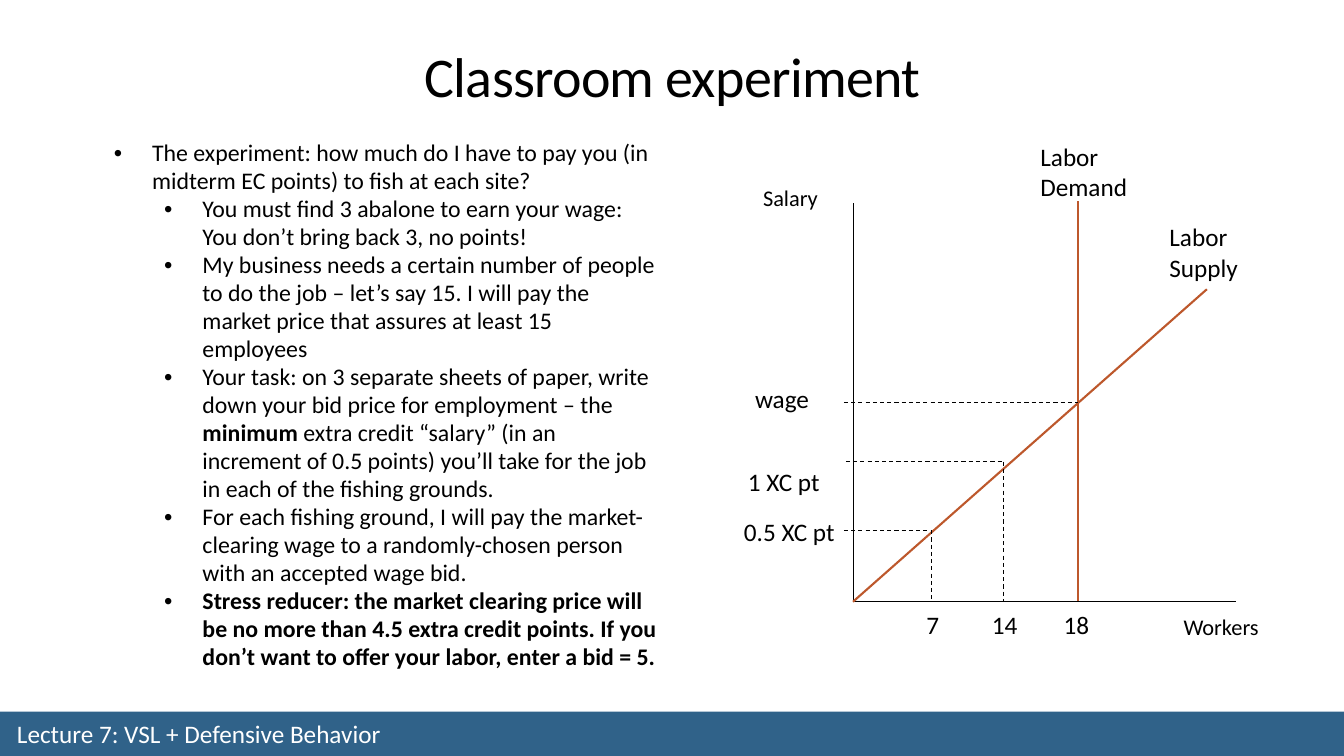
"""Build the classroom experiment slide with its labor market diagram."""
from dataclasses import dataclass

from pptx import Presentation
from pptx.dml.color import RGBColor
from pptx.enum.dml import MSO_LINE
from pptx.enum.shapes import MSO_CONNECTOR, MSO_SHAPE
from pptx.enum.text import MSO_ANCHOR, MSO_AUTO_SIZE, PP_ALIGN
from pptx.oxml.ns import qn
from pptx.util import Pt

STRAIGHT = MSO_CONNECTOR.STRAIGHT
RECTANGLE = MSO_SHAPE.RECTANGLE
DASH = MSO_LINE.DASH
TOP, MIDDLE, BOTTOM = MSO_ANCHOR.TOP, MSO_ANCHOR.MIDDLE, MSO_ANCHOR.BOTTOM
CENTER = PP_ALIGN.CENTER
FIXED = MSO_AUTO_SIZE.NONE

PX = 9144
WIDTH, HEIGHT = 1333, 750


@dataclass(frozen=True)
class Theme:
    font: str = "Calibri"
    black: str = "000000"
    white: str = "FFFFFF"
    curve: str = "BD582C"
    band: str = "306289"
    title: int = 40
    label: int = 18
    axis_label: int = 16
    body: int = 17


THEME = Theme()

TITLE = "Classroom experiment"
FOOTER = "Lecture 7: VSL + Defensive Behavior"
BULLETS = [
    (1, [("The experiment: how much do I have to pay you (in midterm EC points) to fish at each site?", False)]),
    (2, [("You must find 3 abalone to earn your wage: You don’t bring back 3, no points!", False)]),
    (2, [("My business needs a certain number of people to do the job – let’s say 15. "
          "I will pay the market price that assures at least 15 employees", False)]),
    (2, [("Your task: on 3 separate sheets of paper, write down your bid price for employment – the ", False),
         ("minimum", True),
         (" extra credit “salary” (in an increment of 0.5 points) you’ll take for the job "
          "in each of the fishing grounds.", False)]),
    (2, [("For each fishing ground, I will pay the market-clearing wage to a randomly-chosen person "
          "with an accepted wage bid.", False)]),
    (2, [("Stress reducer: the market clearing price will be no more than 4.5 extra credit points. "
          "If you don’t want to offer your labor, enter a bid = 5.", True)]),
]
LABELS = [
    ("wage", 739, 375, 90, 40, THEME.label),
    ("1 XC pt", 732, 458, 104, 40, THEME.label),
    ("0.5 XC pt", 728, 507, 112, 40, THEME.label),
    ("7", 909, 600, 44, 40, THEME.label),
    ("14", 974, 600, 48, 40, THEME.label),
    ("18", 1045, 600, 48, 40, THEME.label),
    ("Workers", 1164, 603, 123, 37, THEME.axis_label),
    ("Salary", 747, 178, 123, 37, THEME.axis_label),
    ("Labor Demand", 1022, 135, 128, 71, THEME.label),
    ("Labor Supply", 1150, 215, 128, 71, THEME.label),
]
ORIGIN_X, ORIGIN_Y = 846, 597
AXIS_TOP, AXIS_RIGHT = 201, 1226
DEMAND_X, DEMAND_TOP, WAGE_Y = 1069, 199, 399
SUPPLY_END = (1197, 287)
BIDS = [(995, 458, 839), (924, 526, 837)]
WAGE_LEFT = 837


def apply(target, values):
    """Set each named attribute on the target."""
    for name, value in values.items():
        setattr(target, name, value)


def place(shape, left, top, width, height):
    """Move and size a shape given in px."""
    apply(shape, {"left": left * PX, "top": top * PX, "width": width * PX, "height": height * PX})


def add_span(para, text, size, color=THEME.black, bold=False):
    """Append formatted text to a paragraph."""
    span = para.add_run()
    span.text = text
    apply(span.font, {"name": THEME.font, "size": Pt(size), "bold": bold})
    span.font.color.rgb = RGBColor.from_string(color)
    return span


def add_box(page, left, top, width, height, anchor=TOP):
    """Add a wrapping text box and return its frame."""
    box = page.shapes.add_textbox(left * PX, top * PX, width * PX, height * PX)
    apply(box.text_frame, {"word_wrap": True, "vertical_anchor": anchor})
    return box.text_frame


def add_line(page, start, end, color, weight, dash=None):
    """Draw a straight line between two px points."""
    ends = [value * PX for value in (*start, *end)]
    line = page.shapes.add_connector(STRAIGHT, *ends)
    line.line.color.rgb = RGBColor.from_string(color)
    apply(line.line, {"width": Pt(weight), "dash_style": dash})
    properties = line._element.spPr
    properties.append(properties.makeelement(qn("a:effectLst"), {}))


def add_title(page):
    """Format the title placeholder."""
    title = page.shapes.title
    place(title, 272, -18, 790, 131)
    apply(title.text_frame, {"auto_size": FIXED, "vertical_anchor": BOTTOM, "word_wrap": True})
    para = title.text_frame.paragraphs[0]
    apply(para, {"alignment": CENTER, "line_spacing": 0.85})
    span = add_span(para, TITLE, THEME.title)
    span.font._element.set("spc", "-50")


def add_footer(page):
    """Draw the footer band and its text."""
    band = page.shapes.add_shape(RECTANGLE, 0, 0, 0, 0)
    place(band, 0, 706, WIDTH, 46)
    band.shadow.inherit = False
    band.fill.solid()
    band.fill.fore_color.rgb = RGBColor.from_string(THEME.band)
    band.line.fill.background()
    frame = add_box(page, 7, 712, 491, 32, MIDDLE)
    add_span(frame.paragraphs[0], FOOTER, THEME.label, THEME.white)


def add_bullets(page):
    """Write the two-level bullet list."""
    frame = add_box(page, 53, 133, 612, 525)
    for index, (level, spans) in enumerate(BULLETS):
        para = frame.add_paragraph() if index else frame.paragraphs[0]
        apply(para, {"level": level, "line_spacing": 0.98})
        properties = para._p.get_or_add_pPr()
        properties.set("marL", str((38 + 50 * level) * PX))
        properties.set("indent", str(-38 * PX))
        for tag, values in (("a:buFont", {"typeface": "Arial"}), ("a:buChar", {"char": "•"})):
            properties.append(properties.makeelement(qn(tag), values))
        for text, bold in spans:
            add_span(para, text, THEME.body, bold=bold)


def add_diagram(page):
    """Draw axes, curves, guides and labels."""
    origin = (ORIGIN_X, ORIGIN_Y)
    for end in ((ORIGIN_X, AXIS_TOP), (AXIS_RIGHT, ORIGIN_Y)):
        add_line(page, origin, end, THEME.black, 0.5)
    add_line(page, origin, SUPPLY_END, THEME.curve, 1.5)
    add_line(page, (DEMAND_X, ORIGIN_Y - 1), (DEMAND_X, DEMAND_TOP), THEME.curve, 1.5)
    guides = [((WAGE_LEFT, WAGE_Y), (DEMAND_X, WAGE_Y))]
    for x, y, left in BIDS:
        guides += [((left, y), (x, y)), ((x, y), (x, ORIGIN_Y))]
    for start, end in guides:
        add_line(page, start, end, THEME.black, 0.75, DASH)
    for text, left, top, width, height, size in LABELS:
        frame = add_box(page, left, top, width, height)
        add_span(frame.paragraphs[0], text, size)


def main():
    """Assemble and save the deck."""
    deck = Presentation()
    apply(deck, {"slide_width": WIDTH * PX, "slide_height": HEIGHT * PX})
    page = deck.slides.add_slide(deck.slide_layouts[5])
    add_footer(page)
    add_bullets(page)
    add_title(page)
    add_diagram(page)
    deck.save("out.pptx")


if __name__ == "__main__":
    main()
